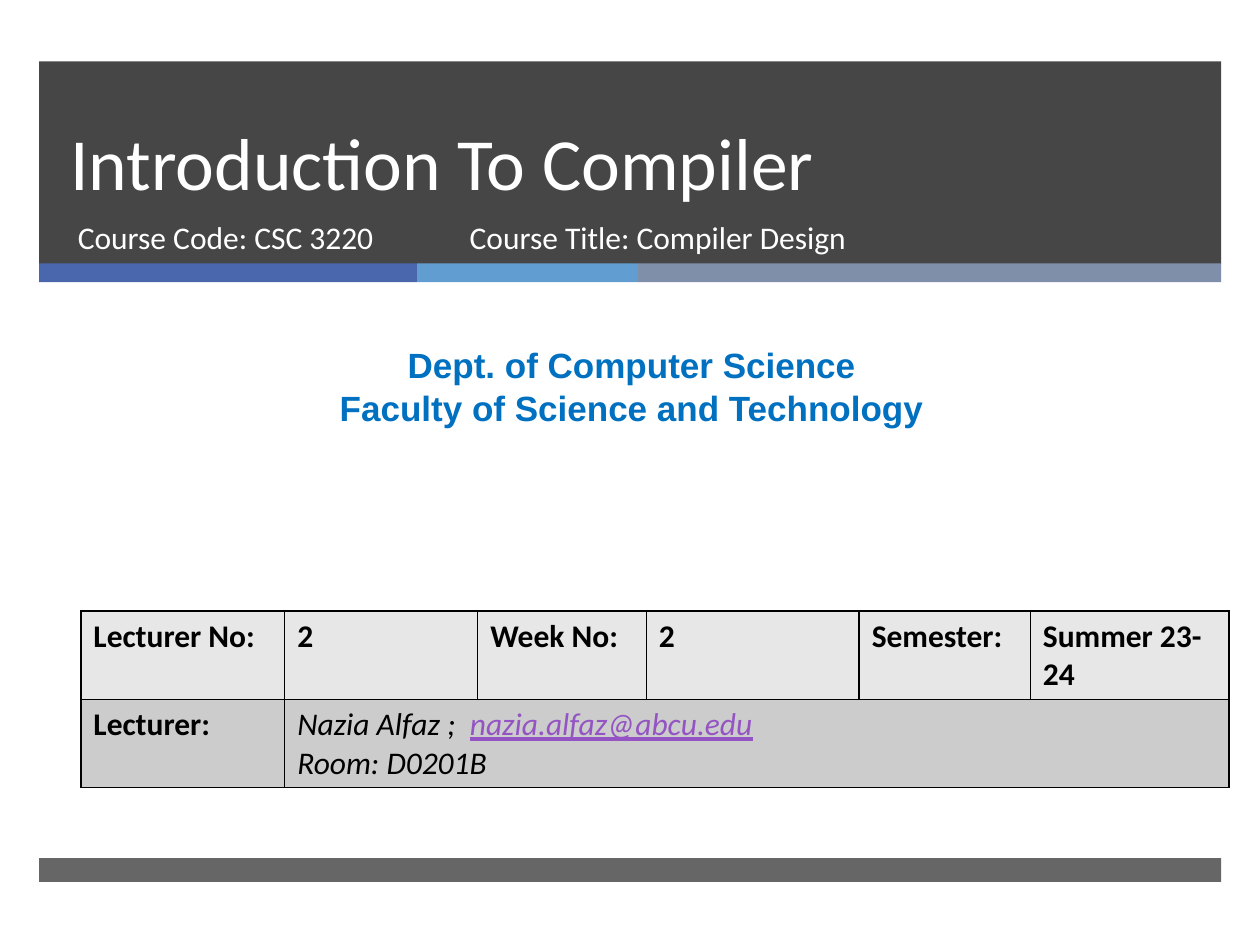
import pptx
import pptx.dml.color
import pptx.enum.shapes
import pptx.enum.text
import pptx.oxml
import pptx.oxml.ns
import pptx.util
from lxml import etree

Cm = pptx.util.Cm
Pt = pptx.util.Pt
PP_ALIGN = pptx.enum.text.PP_ALIGN
ANCHOR = pptx.enum.text.MSO_ANCHOR


def rgb(value):
    return pptx.dml.color.RGBColor.from_string(value)


def style(font, size, color, name="Calibri", bold=False, italic=False):
    font.size = Pt(size)
    font.name = name
    font.bold = bold
    font.italic = italic
    font.color.rgb = rgb(color)


def add_bar(s, x, y, w, h, color, opacity=100):
    sp = s.shapes.add_shape(pptx.enum.shapes.MSO_SHAPE.RECTANGLE,
                            Cm(x), Cm(y), Cm(w), Cm(h))
    sp.shadow.inherit = False
    sp.fill.solid()
    sp.fill.fore_color.rgb = rgb(color)
    sp.line.fill.background()
    if opacity < 100:
        clr = sp.fill._xPr.find(".//" + pptx.oxml.ns.qn("a:srgbClr"))
        etree.SubElement(clr, pptx.oxml.ns.qn("a:alpha"), val=str(opacity * 1000))


def add_text(s, x, y, w, h, lines, size, color, name="Calibri", bold=False,
             align=PP_ALIGN.LEFT, anchor=ANCHOR.TOP, spacing=None):
    tf = s.shapes.add_textbox(Cm(x), Cm(y), Cm(w), Cm(h)).text_frame
    tf.word_wrap = True
    tf.vertical_anchor = anchor
    tf.text = "\n".join(lines)
    for p in tf.paragraphs:
        p.alignment = align
        if spacing:
            p.line_spacing = Pt(spacing)
        style(p.font, size, color, name, bold)


def add_header(s, x, y, w, h):
    add_bar(s, x, y, w, h, "262626", 85)
    left = x
    for width, color in ((7.62, "4A66AC"), (4.45, "629DD1"), (11.76, "7F8FA9")):
        add_bar(s, left, y + h - 0.02, width, 0.38, color)
        left += width
    add_text(s, x + 0.38, y, 21.69, 3.02, ["Introduction To Compiler"], 42,
             "FFFFFF", anchor=ANCHOR.BOTTOM, spacing=46)
    for dx, width, text in ((0.53, 7.75, "Course Code: CSC 3220"),
                            (8.43, 11.56, "Course Title: Compiler Design")):
        add_text(s, x + dx, y + 3.03, width, 1.35, [text], 18, "FFFFFF")


def add_department(s, x, y, w, h):
    add_text(s, x, y, w, h,
             ["Dept. of Computer Science", "Faculty of Science and Technology"],
             20, "0070C0", "Arial", True, PP_ALIGN.CENTER)


def format_cell(cell, fill):
    tc_pr = cell._tc.get_or_add_tcPr()
    for side in ("lnL", "lnR", "lnT", "lnB"):
        tc_pr.append(pptx.oxml.parse_xml(
            f'<a:{side} {pptx.oxml.ns.nsdecls("a")} w="12700"><a:solidFill>'
            f'<a:srgbClr val="000000"/></a:solidFill></a:{side}>'))
    cell.fill.solid()
    cell.fill.fore_color.rgb = rgb(fill)


def add_lecture_table(s, x, y, w, h):
    widths = (4.11, 3.89, 3.4, 4.29, 3.45, 4.01)
    table = s.shapes.add_table(2, len(widths), Cm(x), Cm(y), Cm(w), Cm(h)).table
    for column, width in zip(table.columns, widths):
        column.width = Cm(width)
    for row, fill in zip(table.rows, ("E7E7E7", "CCCCCC")):
        row.height = Cm(h / 2)
        for cell in row.cells:
            format_cell(cell, fill)
    labels = ("Lecturer No:", "2", "Week No:", "2", "Semester:", "Summer 23-24")
    cells = [table.cell(0, i) for i in range(len(labels))] + [table.cell(1, 0)]
    for cell, text in zip(cells, labels + ("Lecturer:",)):
        cell.text = text
        style(cell.text_frame.paragraphs[0].font, 18, "000000", bold=True)

    contact = table.cell(1, 1)
    contact.merge(table.cell(1, 5))
    tf = contact.text_frame
    p = tf.paragraphs[0]
    for text, color, underline in (("Nazia Alfaz ;  ", "000000", False),
                                   ("nazia.alfaz@abcu.edu", "9454C3", True)):
        r = p.add_run()
        r.text = text
        style(r.font, 18, color, italic=True)
        r.font.underline = underline
    p = tf.add_paragraph()
    p.text = "Room: D0201B"
    style(p.font, 18, "000000", italic=True)


def main():
    prs = pptx.Presentation()
    prs.slide_width = Cm(25.4)
    prs.slide_height = Cm(19.05)
    s = prs.slides.add_slide(prs.slide_layouts[6])
    add_header(s, 0.79, 1.24, 23.83, 4.09)
    add_bar(s, 0.79, 17.3, 23.83, 0.48, "262626", 70)
    add_department(s, 0.2, 6.81, 25.07, 1.96)
    add_lecture_table(s, 1.63, 12.32, 23.15, 3.56)
    prs.save("out.pptx")


if __name__ == "__main__":
    main()
